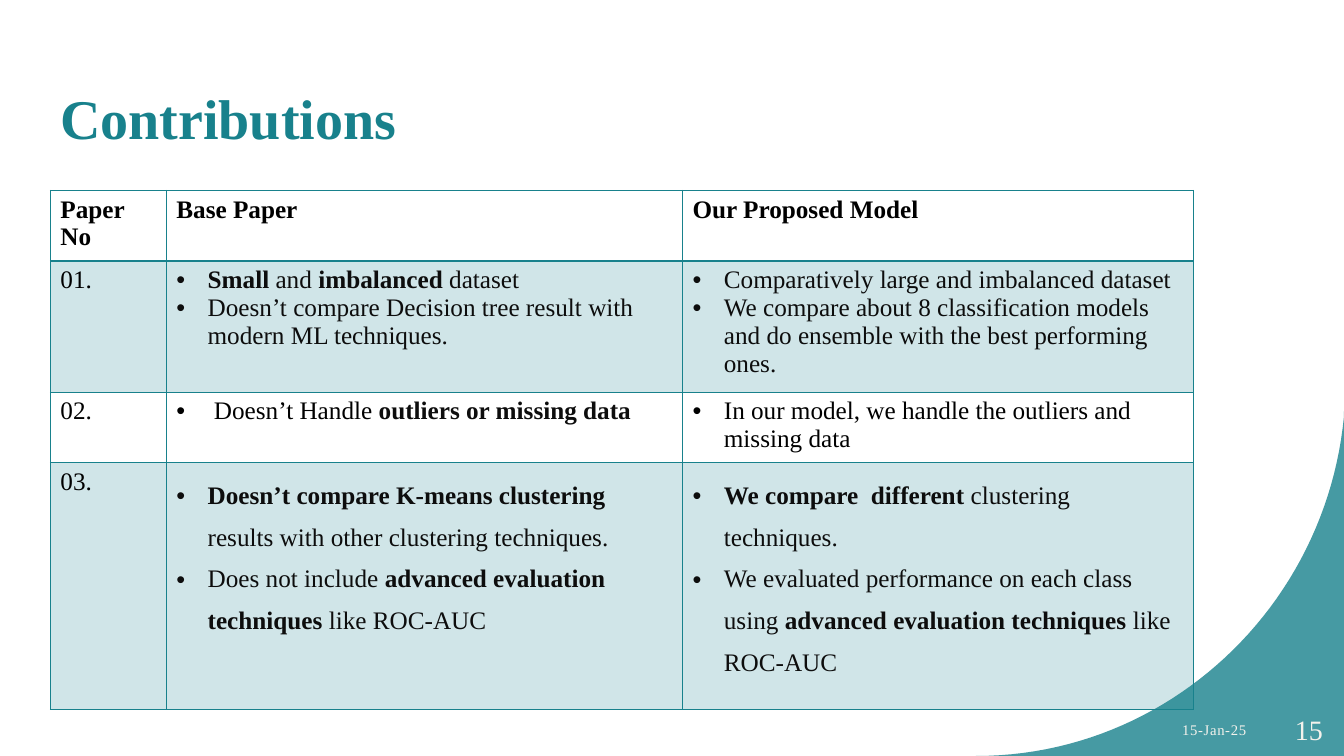
import pptx
import pptx.dml.color
import pptx.enum.text
import pptx.oxml
import pptx.util
from pptx.oxml.ns import qn
from pptx.util import Inches

TEAL, CREAM, BLACK, INK = "18818C", "F4F2EC", "000000", "0D0D0D"
FONT = "Times New Roman"
NS = 'xmlns:a="http://schemas.openxmlformats.org/drawingml/2006/main"'

TITLE, DATE, PAGE = "Contributions", "15-Jan-25", "15"
HEADINGS = ["Paper No", "Base Paper", "Our Proposed Model"]
# Bold stretches are enclosed in asterisks.
PAPERS = [
    ("01.",
     ["*Small* and *imbalanced* dataset",
      "Doesn’t compare Decision tree result with modern ML techniques."],
     ["Comparatively large and imbalanced dataset",
      "We compare about 8 classification models and do ensemble with the best performing ones."]),
    ("02.",
     [" Doesn’t Handle *outliers or missing data*"],
     ["In our model, we handle the outliers and missing data"]),
    ("03.",
     ["*Doesn’t compare K-means clustering *results with other clustering techniques.",
      "Does not include *advanced evaluation techniques *like ROC-AUC"],
     ["*We compare  different *clustering techniques.",
      "We evaluated performance on each class using *advanced evaluation techniques *like ROC-AUC"]),
]
LINE_SPACING = [1.0, 1.0, 1.5]
COLUMN_WIDTHS = [1.15, 5.12, 5.07]
ROW_HEIGHTS = [0.67, 1.21, 0.68, 2.45]
TABLE_LEFT, TABLE_TOP = 0.5, 1.89
CORNER_CURVE = [(9.68, 7.5), (11.58, 7.5), (13.15, 6.02), (13.33, 4.13)]
CURVE_STEPS = 48


def rgb(colour):
    return pptx.dml.color.RGBColor.from_string(colour)


def paint(fill, colour, opacity):
    """Fill with a solid colour at the given opacity in percent."""
    fill.solid()
    fill.fore_color.rgb = rgb(colour)
    for srgb in fill._xPr.iter(qn("a:srgbClr")):
        srgb.append(pptx.oxml.parse_xml(f'<a:alpha {NS} val="{opacity * 1000}"/>'))


def add_run(paragraph, words, size, colour, bold=False):
    run = paragraph.add_run()
    run.text = words
    run.font.name, run.font.size = FONT, pptx.util.Pt(size)
    run.font.bold, run.font.color.rgb = bold, rgb(colour)
    return run


def add_label(slide, box, words, size, colour, bold=False, align="LEFT"):
    frame = slide.shapes.add_textbox(*map(Inches, box)).text_frame
    frame.word_wrap = True
    frame.vertical_anchor = pptx.enum.text.MSO_ANCHOR.MIDDLE
    paragraph = frame.paragraphs[0]
    paragraph.alignment = getattr(pptx.enum.text.PP_ALIGN, align)
    return add_run(paragraph, words, size, colour, bold)


def add_corner(slide):
    points = []
    for step in range(CURVE_STEPS + 1):
        t = step / CURVE_STEPS
        weights = ((1 - t) ** 3, 3 * t * (1 - t) ** 2, 3 * t * t * (1 - t), t ** 3)
        points.append(tuple(Inches(sum(w * p[axis] for w, p in zip(weights, CORNER_CURVE)))
                            for axis in (0, 1)))
    points += [(Inches(13.33), Inches(4.08)), (Inches(13.33), Inches(7.5))]
    builder = slide.shapes.build_freeform(*points[0], scale=1.0)
    builder.add_line_segments(points[1:], close=True)
    corner = builder.convert_to_shape()
    corner.shadow.inherit = False
    corner.line.fill.background()
    paint(corner.fill, TEAL, 80)


def set_borders(cell, top, bottom):
    """Draw the four sides in teal; top and bottom widths are in points."""
    sides = [("L", 1), ("R", 1), ("T", top), ("B", bottom)]
    for index, (side, width) in enumerate(sides):
        cell._tc.get_or_add_tcPr().insert(index, pptx.oxml.parse_xml(
            f'<a:ln{side} {NS} w="{pptx.util.Pt(width)}"><a:solidFill>'
            f'<a:srgbClr val="{TEAL}"/></a:solidFill></a:ln{side}>'))


def add_bullets(cell, points, spacing, shaded):
    frame = cell.text_frame
    for index, point in enumerate(points):
        paragraph = frame.add_paragraph() if index else frame.paragraphs[0]
        paragraph.line_spacing = spacing
        properties = paragraph._p.get_or_add_pPr()
        properties.set("marL", str(Inches(0.31)))
        properties.set("indent", str(-Inches(0.31)))
        for tag in ('buFont {} typeface="Arial"', 'buChar {} char="•"'):
            properties.append(pptx.oxml.parse_xml(f"<a:{tag.format(NS)}/>"))
        for part, words in enumerate(point.split("*")):
            bold = part % 2 == 1
            if words:
                add_run(paragraph, words, 18, INK if bold or shaded else BLACK, bold)


def add_comparison(slide):
    table = slide.shapes.add_table(
        len(ROW_HEIGHTS), len(COLUMN_WIDTHS), Inches(TABLE_LEFT), Inches(TABLE_TOP),
        Inches(sum(COLUMN_WIDTHS)), Inches(sum(ROW_HEIGHTS))).table
    table.first_row = table.horz_banding = False
    for column, width in zip(table.columns, COLUMN_WIDTHS):
        column.width = Inches(width)
    for row, height in zip(table.rows, ROW_HEIGHTS):
        row.height = Inches(height)

    for column, heading in enumerate(HEADINGS):
        add_run(table.cell(0, column).text_frame.paragraphs[0], heading, 18, BLACK, True)
    for row, (number, *bullet_lists) in enumerate(PAPERS, 1):
        add_run(table.cell(row, 0).text_frame.paragraphs[0], number, 18, BLACK)
        for column, points in enumerate(bullet_lists, 1):
            add_bullets(table.cell(row, column), points, LINE_SPACING[row - 1], row % 2 == 1)

    for row in range(len(ROW_HEIGHTS)):
        for column in range(len(COLUMN_WIDTHS)):
            cell = table.cell(row, column)
            if row % 2:
                paint(cell.fill, TEAL, 20)
            else:
                cell.fill.background()
            set_borders(cell, top=2 if row == 1 else 1, bottom=2 if row == 0 else 1)


def main():
    deck = pptx.Presentation()
    deck.slide_width, deck.slide_height = Inches(13.33), Inches(7.5)
    slide = deck.slides.add_slide(deck.slide_layouts[6])
    add_corner(slide)
    add_label(slide, (0.5, 0.44, 10.84, 1.45), TITLE, 40, TEAL, bold=True)
    add_label(slide, (12.46, 7.04, 0.76, 0.4), PAGE, 20, CREAM, align="RIGHT")
    date = add_label(slide, (10.2, 7.04, 2.26, 0.4), DATE, 10.5, CREAM, align="RIGHT")
    date.font._element.set("spc", "50")
    add_comparison(slide)
    deck.save("out.pptx")


if __name__ == "__main__":
    main()
